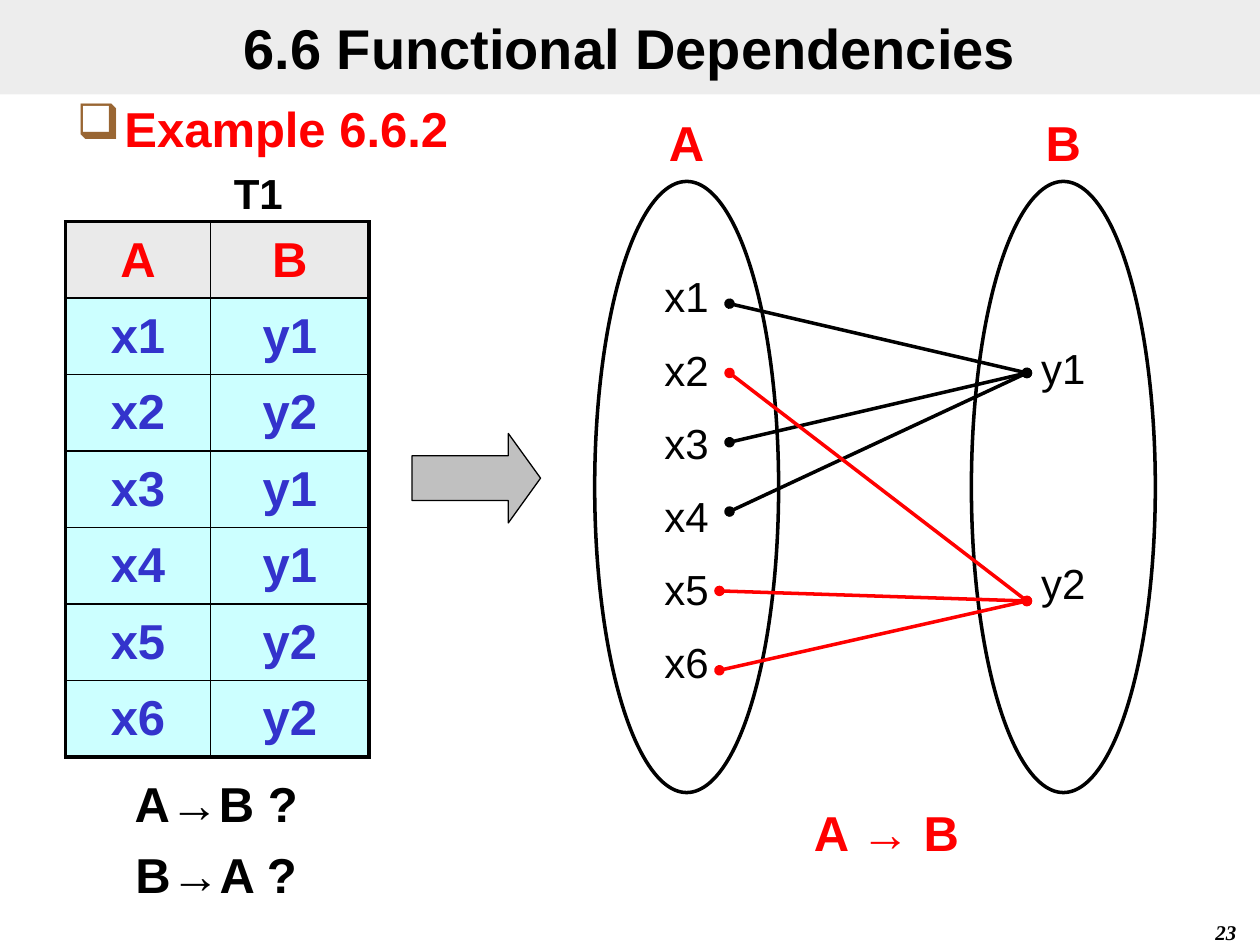
from lxml import etree
from pptx import Presentation
from pptx.dml.color import RGBColor
from pptx.enum.shapes import MSO_CONNECTOR, MSO_SHAPE
from pptx.enum.text import MSO_ANCHOR, PP_ALIGN
from pptx.oxml.ns import qn
from pptx.util import Inches, Pt

CENTER, LEFT, RIGHT = PP_ALIGN.CENTER, PP_ALIGN.LEFT, PP_ALIGN.RIGHT
TOP, MIDDLE = MSO_ANCHOR.TOP, MSO_ANCHOR.MIDDLE
ELLIPSE, RIGHT_ARROW = MSO_SHAPE.OVAL, MSO_SHAPE.RIGHT_ARROW
STRAIGHT = MSO_CONNECTOR.STRAIGHT

BLACK = RGBColor(0x00, 0x00, 0x00)
RED = RGBColor(0xFF, 0x00, 0x00)
BLUE = RGBColor(0x33, 0x33, 0xCC)
BAND_GRAY = RGBColor(0xDD, 0xDD, 0xDD)
HEADER_GRAY = RGBColor(0xEA, 0xEA, 0xEA)
ARROW_GRAY = RGBColor(0xC0, 0xC0, 0xC0)
CYAN = RGBColor(0xCC, 0xFF, 0xFF)
BULLET_BROWN = "996633"

SLIDE_WIDTH, SLIDE_HEIGHT = Inches(10), Inches(7.5)
COLUMN, ROW = SLIDE_WIDTH / 100, SLIDE_HEIGHT / 75

DEPENDENCIES = [("x1", "y1"), ("x2", "y2"), ("x3", "y1"),
                ("x4", "y1"), ("x5", "y2"), ("x6", "y2")]
X_DOTS = {"x1": (57.9, 24.1), "x2": (57.9, 29.6), "x3": (57.9, 35.1),
          "x4": (57.9, 40.6), "x5": (57.1, 46.9), "x6": (57.1, 53.2)}
Y_DOTS = {"y1": (81.5, 29.6), "y2": (81.5, 47.7)}
LINK_COLORS = {"y1": BLACK, "y2": RED}
LABEL_GAP = 13      # points between the labels of a set
LABEL_PITCH = 40.7  # points from one label to the next


def grid(*numbers):
    """Turn alternating column and row numbers into slide lengths."""
    return [round(number * (ROW if index % 2 else COLUMN))
            for index, number in enumerate(numbers)]


def format_font(font, size, color, bold=True, italic=False, name="Arial"):
    font.name, font.size, font.bold, font.italic = name, Pt(size), bold, italic
    font.color.rgb = color


def write(text_frame, lines, size, color, align=CENTER, gap=0, **style):
    """Fill a frame with one paragraph a line, gap points apart."""
    text_frame.word_wrap = True
    text_frame.text = "\n".join(lines)
    for index, paragraph in enumerate(text_frame.paragraphs):
        paragraph.alignment = align
        paragraph.space_before = Pt(gap if index else 0)
        for run in paragraph.runs:
            format_font(run.font, size, color, **style)


def add_text(slide, place, lines, size, color, **style):
    box = slide.shapes.add_textbox(*grid(*place))
    write(box.text_frame, lines, size, color, **style)
    return box


def add_title(slide, text):
    title = slide.shapes.title
    title.left, title.top, title.width, title.height = grid(0, 0, 100, 7.5)
    title.fill.solid()
    title.fill.fore_color.rgb = BAND_GRAY
    color = title.fill._xPr.find(qn("a:solidFill"))[0]
    etree.SubElement(color, qn("a:alpha"), val="50000")
    title.text_frame.vertical_anchor = MIDDLE
    write(title.text_frame, [text], 32, BLACK)


def add_bullet(paragraph, character, color):
    properties = paragraph._p.get_or_add_pPr()
    properties.set("marL", str(Inches(0.38)))
    properties.set("indent", str(-Inches(0.38)))
    bullet_color = etree.SubElement(properties, qn("a:buClr"))
    etree.SubElement(bullet_color, qn("a:srgbClr"), val=color)
    etree.SubElement(properties, qn("a:buChar"), char=character)


def set_borders(cell, widths):
    """Draw black borders; widths are points by side, L, R, T and B."""
    properties = cell._tc.get_or_add_tcPr()
    for side in "LRTB":
        line = etree.SubElement(properties, qn(f"a:ln{side}"),
                                w=str(Pt(widths[side])))
        fill = etree.SubElement(line, qn("a:solidFill"))
        etree.SubElement(fill, qn("a:srgbClr"), val=str(BLACK))


def add_relation_table(slide, place, rows):
    last_row, last_column = len(rows) - 1, len(rows[0]) - 1
    table = slide.shapes.add_table(len(rows), len(rows[0]), *grid(*place)).table
    table.first_row = table.horz_banding = False
    for column, width in zip(table.columns, (1.15, 1.26)):
        column.width = Inches(width)
    for r, values in enumerate(rows):
        for c, value in enumerate(values):
            cell = table.cell(r, c)
            cell.margin_top = cell.margin_bottom = 0
            cell.vertical_anchor = MIDDLE
            outer = {"L": c == 0, "R": c == last_column,
                     "T": r == 0, "B": r == last_row}
            set_borders(cell, {side: 2.25 if edge else 1
                               for side, edge in outer.items()})
            cell.fill.solid()
            cell.fill.fore_color.rgb = CYAN if r else HEADER_GRAY
            write(cell.text_frame, [value], 28, BLUE if r else RED)


def add_outlined_shape(slide, kind, place, line_width):
    shape = slide.shapes.add_shape(kind, *grid(*place))
    shape.shadow.inherit = False
    shape.line.color.rgb = BLACK
    shape.line.width = Pt(line_width)
    return shape


def add_set(slide, left, name, labels, gap, skipped=0):
    """Draw a named set; skipped is the number of free label places on top."""
    ellipse = add_outlined_shape(slide, ELLIPSE, (left, 14.4, 14.6, 48.5), 2)
    ellipse.fill.background()
    frame = ellipse.text_frame
    frame.vertical_anchor = TOP
    frame.margin_top, frame.margin_bottom = Pt(skipped * LABEL_PITCH), 0
    write(frame, labels, 24, BLACK, gap=gap, bold=False)
    add_text(slide, (left + 1, 8.4, 12.6, 5.7), [name], 28, RED)


def add_link(slide, start, end, color):
    """Draw a line with a dot at each end."""
    link = slide.shapes.add_connector(STRAIGHT, *grid(*start, *end))
    link.line.color.rgb = color
    link.line.width = Pt(2)
    line = link.line._get_or_add_ln()
    for tag in ("a:headEnd", "a:tailEnd"):
        etree.SubElement(line, qn(tag), type="oval")
    etree.SubElement(link._element.spPr, qn("a:effectLst"))


def add_block_arrow(slide, place):
    arrow = add_outlined_shape(slide, RIGHT_ARROW, place, 0.75)
    arrow.fill.solid()
    arrow.fill.fore_color.rgb = ARROW_GRAY
    arrow.adjustments[1] = 0.36


def main():
    presentation = Presentation()
    presentation.slide_width = SLIDE_WIDTH
    presentation.slide_height = SLIDE_HEIGHT
    slide = presentation.slides.add_slide(presentation.slide_layouts[5])

    add_title(slide, "6.6 Functional Dependencies")
    add_text(slide, (78.3, 72.5, 20.8, 2.5), ["23"], 12, BLACK, align=RIGHT,
             italic=True, name="Times New Roman")
    example = add_text(slide, (5.1, 7.3, 40, 5.7), ["Example 6.6.2"], 28, RED,
                       align=LEFT)
    add_bullet(example.text_frame.paragraphs[0], "❑", BULLET_BROWN)

    add_relation_table(slide, (5.2, 17.6, 24.1, 42.5),
                       [("A", "B")] + DEPENDENCIES)
    add_text(slide, (13.4, 12.8, 14.2, 5), ["T1"], 24, BLACK)
    add_text(slide, (8.4, 60.9, 17.5, 11.3), ["A→B ?", "B→A ?"], 28, BLACK,
             gap=6.7)
    add_block_arrow(slide, (32.7, 34.4, 10.2, 7.1))

    add_set(slide, 47.2, "A", list(X_DOTS), LABEL_GAP)
    add_set(slide, 77.1, "B", list(Y_DOTS), LABEL_GAP + 2 * LABEL_PITCH,
            skipped=1)
    for target, color in LINK_COLORS.items():
        for x, y in DEPENDENCIES:
            if y == target:
                add_link(slide, X_DOTS[x], Y_DOTS[y], color)
    add_text(slide, (61.6, 63.2, 17.5, 5.7), ["A → B"], 28, RED)

    presentation.save("out.pptx")


if __name__ == "__main__":
    main()
